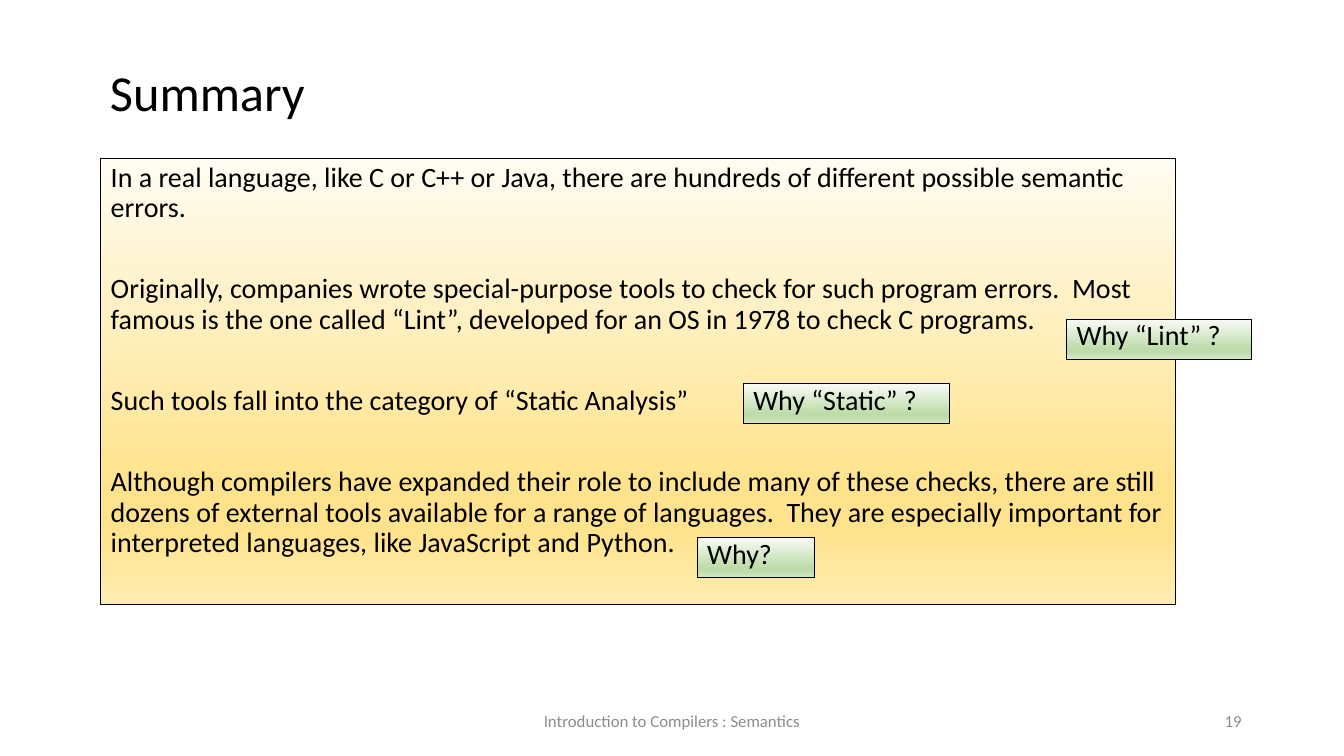
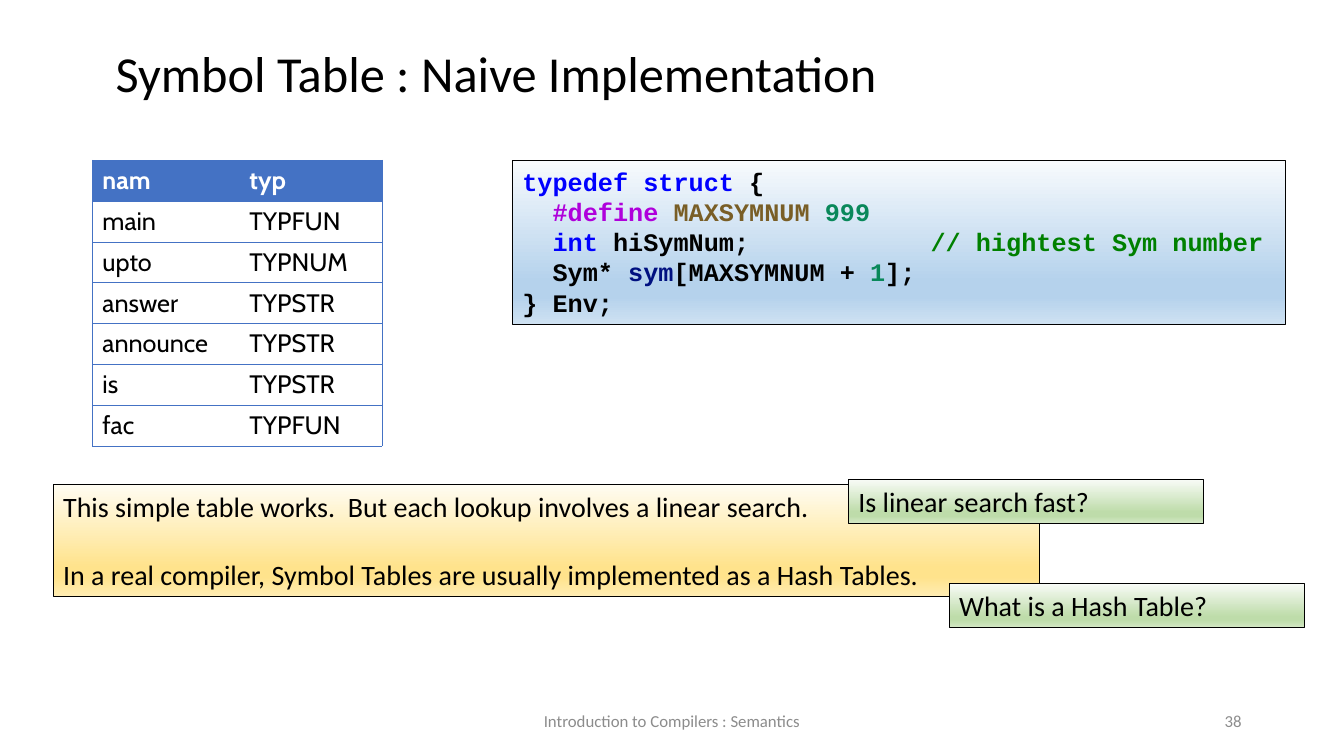
from pptx import Presentation
from pptx.dml.color import RGBColor
from pptx.enum.shapes import MSO_SHAPE
from pptx.enum.text import MSO_ANCHOR as ANCHOR, PP_ALIGN as ALIGN
from pptx.oxml.ns import qn
from pptx.util import Pt
from lxml.etree import SubElement

SANS, TABLE_FONT, MONO = "Calibri", "Cabin", "Courier New"
BLACK, WHITE, GREY, BLUE = "000000", "FFFFFF", "8C8C8C", "4472C4"
STOPS = (0, 74, 83, 100)
YELLOW = ("FFFCF2", "FFE38C", "FFE38C", "FFECB2")
GREEN = ("F8FBF6", "BEDCAA", "BEDCAA", "D4E8C6")
SKY = ("F7FAFD", "B5D2EC", "B5D2EC", "CEE1F2")
KEYWORD, DIRECTIVE, MACRO = "0000FF", "AF00DB", "795E26"
NUMBER, COMMENT, MEMBER = "09885A", "008000", "001080"
COMMENT_TAB = 291.6

SUMMARY = [
    "In a real language, like C or C++ or Java, there are hundreds of different "
    "possible semantic errors.",
    "Originally, companies wrote special-purpose tools to check for such program "
    "errors.  Most famous is the one called “Lint”, developed for an OS in 1978 "
    "to check C programs.",
    "Such tools fall into the category of “Static Analysis”",
    "Although compilers have expanded their role to include many of these checks, "
    "there are still dozens of external tools available for a range of languages.  "
    "They are especially important for interpreted languages, like JavaScript and "
    "Python.",
]
SYMBOLS = [
    ("nam", "typ"), ("main", "TYPFUN"), ("upto", "TYPNUM"), ("answer", "TYPSTR"),
    ("announce", "TYPSTR"), ("is", "TYPSTR"), ("fac", "TYPFUN"),
]
CODE = [
    [("typedef struct", KEYWORD), (" {", BLACK)],
    [("  #define ", DIRECTIVE), ("MAXSYMNUM ", MACRO), ("999", NUMBER)],
    [("  int", KEYWORD), (" hiSymNum;\t", BLACK), ("// hightest Sym number", COMMENT)],
    [("  Sym* ", BLACK), ("sym", MEMBER), ("[MAXSYMNUM + ", BLACK), ("1", NUMBER),
     ("];", BLACK)],
    [("} Env;", BLACK)],
]
LOOKUP = [
    "This simple table works.  But each lookup involves a linear search.",
    "In a real compiler, Symbol Tables are usually implemented as a Hash Tables.",
]


def rgb(color):
    return RGBColor.from_string(color)


def add_run(p, text, size, color=BLACK, font=SANS, bold=False):
    r = p.add_run()
    r.text = text
    r.font.size, r.font.name, r.font.bold = Pt(size), font, bold
    r.font.color.rgb = rgb(color)


def write(tf, paragraphs, size, font=SANS, bold=False, align=ALIGN.LEFT,
          line=1.0, gap=0):
    """Fill a frame with paragraphs, each a list of (text, colour) runs."""
    tf.word_wrap = True
    for i, runs in enumerate(paragraphs):
        p = tf.add_paragraph() if i else tf.paragraphs[0]
        p.alignment, p.line_spacing = align, line
        p.space_before = Pt(gap if i else 0)
        for text, color in runs:
            add_run(p, text, size, color, font, bold)


def label(s, box, text, size, color=BLACK, align=ALIGN.LEFT):
    tf = s.shapes.add_textbox(*map(Pt, box)).text_frame
    tf.vertical_anchor = ANCHOR.MIDDLE
    write(tf, [[(text, color)]], size, align=align)


def panel(s, box, colors):
    """Add an outlined box with a vertical gradient; return its text frame."""
    sp = s.shapes.add_shape(MSO_SHAPE.RECTANGLE, *map(Pt, box))
    sp.shadow.inherit = False
    sp.fill.gradient()
    sp.fill.gradient_angle = 270
    stops = sp._element.spPr.find(qn("a:gradFill")).find(qn("a:gsLst"))
    for old in list(stops):
        stops.remove(old)
    for pos, color in zip(STOPS, colors):
        gs = SubElement(stops, qn("a:gs"), pos=str(pos * 1000))
        SubElement(gs, qn("a:srgbClr"), val=color)
    sp.line.color.rgb = rgb(BLACK)
    sp.line.width = Pt(0.75)
    sp.text_frame.vertical_anchor = ANCHOR.TOP
    return sp.text_frame


def note(s, box, texts, colors, line=1.0, gap=0):
    write(panel(s, box, colors), [[(t, BLACK)] for t in texts], 20,
          line=line, gap=gap)


def code_block(s, box, lines):
    tf = panel(s, box, SKY)
    write(tf, lines, 18, MONO, bold=True)
    for p in tf.paragraphs:
        tabs = SubElement(p._p.get_or_add_pPr(), qn("a:tabLst"))
        SubElement(tabs, qn("a:tab"), pos=str(Pt(COMMENT_TAB)), algn="l")


def set_borders(cell, sides):
    """Draw the named sides in blue and clear the others."""
    tcPr = cell._tc.get_or_add_tcPr()
    for i, side in enumerate("LRTB"):
        ln = SubElement(tcPr, qn("a:ln" + side), w=str(Pt(0.5)))
        if side in sides:
            fill = SubElement(ln, qn("a:solidFill"))
            SubElement(fill, qn("a:srgbClr"), val=BLUE)
        else:
            SubElement(ln, qn("a:noFill"))
        tcPr.insert(i, ln)


def symbol_table(s, box, rows, widths):
    table = s.shapes.add_table(len(rows), len(widths), *map(Pt, box)).table
    table.first_row = table.horz_banding = False
    for column, width in zip(table.columns, widths):
        column.width = Pt(width)
    for i, row in enumerate(rows):
        table.rows[i].height = Pt(box[3] / len(rows))
        header = i == 0
        for j, text in enumerate(row):
            cell = table.cell(i, j)
            if header:
                cell.fill.solid()
                cell.fill.fore_color.rgb = rgb(BLUE)
            else:
                cell.fill.background()
            set_borders(cell, "TB" + "LR"[j])
            add_run(cell.text_frame.paragraphs[0], text, 18,
                    WHITE if header else BLACK, TABLE_FONT, header)


def base_slide(prs, title, title_box, number):
    """Add a slide with its title, footer and number."""
    s = prs.slides.add_slide(prs.slide_layouts[6])
    label(s, title_box, title, 36)
    label(s, (318, 500.5, 324, 28.75), "Introduction to Compilers : Semantics", 12,
          GREY, ALIGN.CENTER)
    label(s, (678, 500.5, 216, 28.75), str(number), 12, GREY, ALIGN.RIGHT)
    return s


def summary_slide(prs):
    s = base_slide(prs, "Summary", (71.5, 36.5, 620, 58), 19)
    note(s, (72, 113, 768, 319), SUMMARY, YELLOW, line=0.9, gap=36.5)
    for text, x, y, w in (("Why “Lint” ?", 762, 228, 132),
                          ("Why?", 498, 384, 84),
                          ("Why “Static” ?", 531, 274, 147)):
        note(s, (x, y, w, 28.75), [text], GREEN, line=0.8)


def symbol_table_slide(prs):
    s = base_slide(prs, "Symbol Table : Naive Implementation",
                   (75.5, 27, 665, 50), 38)
    symbol_table(s, (66, 114.5, 207, 204), SYMBOLS, (105, 102))
    code_block(s, (366, 115, 552, 116.5), CODE)
    note(s, (38, 346, 704.5, 80), LOOKUP, YELLOW, gap=24.4)
    for text, x, y in (("Is linear search fast?", 606, 342.5),
                       ("What is a Hash Table?", 678, 417)):
        note(s, (x, y, 253.5, 31.5), [text], GREEN)


def main():
    prs = Presentation()
    prs.slide_width, prs.slide_height = Pt(960), Pt(540)
    summary_slide(prs)
    symbol_table_slide(prs)
    prs.save("out.pptx")


if __name__ == "__main__":
    main()
